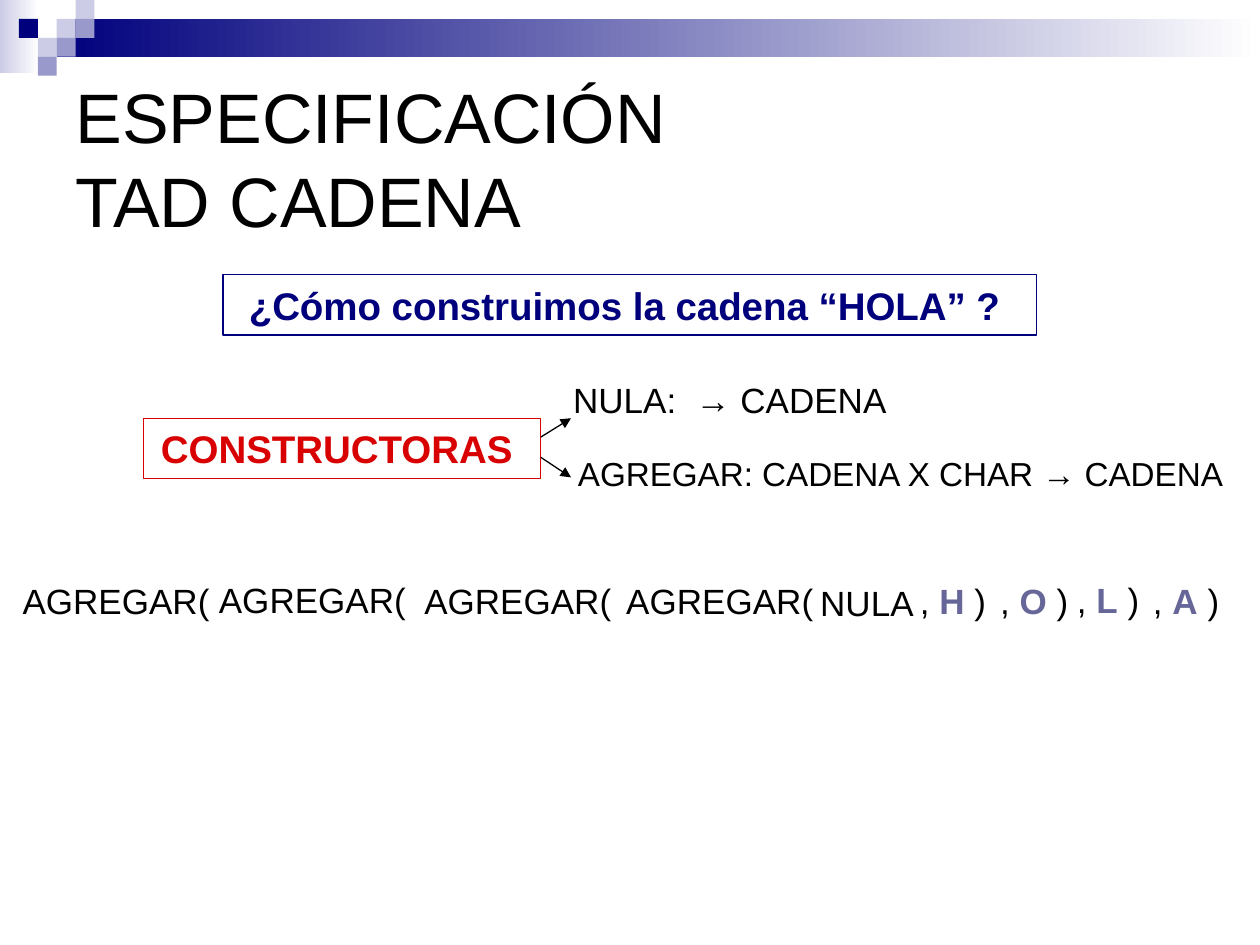
from dataclasses import dataclass

from lxml.etree import SubElement
from pptx import Presentation
from pptx.dml.color import RGBColor
from pptx.enum.shapes import MSO_CONNECTOR, MSO_SHAPE
from pptx.enum.text import MSO_ANCHOR, MSO_AUTO_SIZE, PP_ALIGN
from pptx.oxml.ns import qn
from pptx.util import Pt


@dataclass(frozen=True)
class Theme:
    font: str = "Arial"
    ink: RGBColor = RGBColor(0, 0, 0)
    paper: RGBColor = RGBColor(255, 255, 255)
    navy: RGBColor = RGBColor(0x00, 0x00, 0x7D)
    pale: RGBColor = RGBColor(0xCC, 0xCC, 0xE6)
    mid: RGBColor = RGBColor(0x99, 0x99, 0xCC)
    red: RGBColor = RGBColor(0xD8, 0x00, 0x00)
    char: RGBColor = RGBColor(0x66, 0x66, 0x99)
    title: float = 40
    label: float = 22
    body: float = 20
    small: float = 19
    line: float = 0.75


THEME = Theme()


def style(font, size, color, bold=False):
    font.name = THEME.font
    font.size = Pt(size)
    font.bold = bold
    font.color.rgb = color


def add_rect(slide, box):
    shape = slide.shapes.add_shape(MSO_SHAPE.RECTANGLE, *map(Pt, box))
    shape.shadow.inherit = False
    return shape


def add_block(slide, box, color, fade=False):
    shape = add_rect(slide, box)
    shape.line.fill.background()
    if fade:
        shape.fill.gradient()
        shape.fill.gradient_angle = 0
        for stop, tone in zip(shape.fill.gradient_stops, (color, THEME.paper)):
            stop.color.rgb = tone
    else:
        shape.fill.solid()
        shape.fill.fore_color.rgb = color


def add_banner(slide, box):
    left, top, width, height = box
    cell = 10.8
    add_block(slide, (left, top, 22.3, height), THEME.pale, True)
    bar = left + 3 * cell
    add_block(slide, (bar, top + cell, width - 3 * cell, 2 * cell), THEME.navy, True)
    tiles = [
        (3, 1, THEME.pale), (4, 0, THEME.pale), (4, 1, THEME.mid),
        (2, 2, THEME.pale), (1, 1, THEME.navy), (3, 2, THEME.mid),
        (2, 3, THEME.mid),
    ]
    for col, row, color in tiles:
        add_block(slide, (left + col * cell, top + row * cell, cell, cell), color)


def add_title(slide, box, text):
    title = slide.shapes.title
    title.left, title.top, title.width, title.height = map(Pt, box)
    frame = title.text_frame
    frame.auto_size = MSO_AUTO_SIZE.NONE
    frame.vertical_anchor = MSO_ANCHOR.MIDDLE
    frame.text = text
    para = frame.paragraphs[0]
    para.alignment = PP_ALIGN.LEFT
    para.line_spacing = 1
    style(para.font, THEME.title, THEME.ink)


def add_label(slide, box, text, color):
    shape = add_rect(slide, box)
    shape.fill.background()
    shape.line.color.rgb = color
    shape.line.width = Pt(THEME.line)
    para = shape.text_frame.paragraphs[0]
    para.text = text
    para.alignment = PP_ALIGN.CENTER
    style(para.font, THEME.label, color, True)


def add_text(slide, box, text, size, tab=None):
    frame = slide.shapes.add_textbox(*map(Pt, box)).text_frame
    frame.word_wrap = True
    para = frame.paragraphs[0]
    para.text = text
    if tab:
        stops = SubElement(para._p.get_or_add_pPr(), qn("a:tabLst"))
        SubElement(stops, qn("a:tab"), pos=str(Pt(tab)), algn="l")
    style(para.font, size, THEME.ink)
    return para


def add_arrow(slide, start, end):
    line = slide.shapes.add_connector(
        MSO_CONNECTOR.STRAIGHT, *map(Pt, (*start, *end))
    )
    line.line.color.rgb = THEME.ink
    line.line.width = Pt(THEME.line)
    SubElement(line.line._get_or_add_ln(), qn("a:tailEnd"), type="triangle")
    SubElement(line._element.spPr, qn("a:effectLst"))


def add_makers(slide, box):
    left, top, width, height = box
    add_label(slide, (left, top + 26, 227, 34.5), "CONSTRUCTORAS ", THEME.red)
    side, tip = left + 227, left + 244.3
    add_text(slide, (left + 238.4, top, 250, 31), "NULA:\t→ CADENA", THEME.body, 70)
    add_arrow(slide, (side, top + 36.8), (tip, top + 26))
    add_text(slide, (left + 241.2, top + 42.5, width - 241.2, 30),
             "AGREGAR: CADENA X CHAR → CADENA", THEME.small)
    add_arrow(slide, (side, top + 48.3), (tip, top + 59.8))


def add_nest(slide, box):
    left, top, width, height = box
    add_text(slide, (left + 455.8, top + 1.5, 85, height), "NULA", THEME.body)
    calls = [
        ("H", 345, 0.8, 300.2, 167.8),
        ("O", 229.6, 0.8, 487.4, 329.1),
        ("L", 112.2, 0, 561.6, 490.3),
        ("A", 0, 0.8, width, 646),
    ]
    for char, shift, drop, span, tab in calls:
        para = add_text(slide, (left + shift, top + drop, span, height),
                        "AGREGAR(\t, ", THEME.body, tab)
        run = para.add_run()
        run.text = char
        run.font.bold = True
        run.font.color.rgb = THEME.char
        para.add_run().text = " )"


def main():
    deck = Presentation()
    deck.slide_width, deck.slide_height = Pt(720), Pt(540)
    slide = deck.slides.add_slide(deck.slide_layouts[5])
    add_banner(slide, (0, 0, 720, 42))
    add_title(slide, (36, 36, 648, 108), "ESPECIFICACIÓN\vTAD CADENA")
    add_label(slide, (127.5, 157, 465, 34.5),
              "¿Cómo construimos la cadena “HOLA” ? ", THEME.navy)
    add_makers(slide, (82, 213, 635, 73))
    add_nest(slide, (5.8, 327, 717, 31.5))
    deck.save("out.pptx")


if __name__ == "__main__":
    main()
